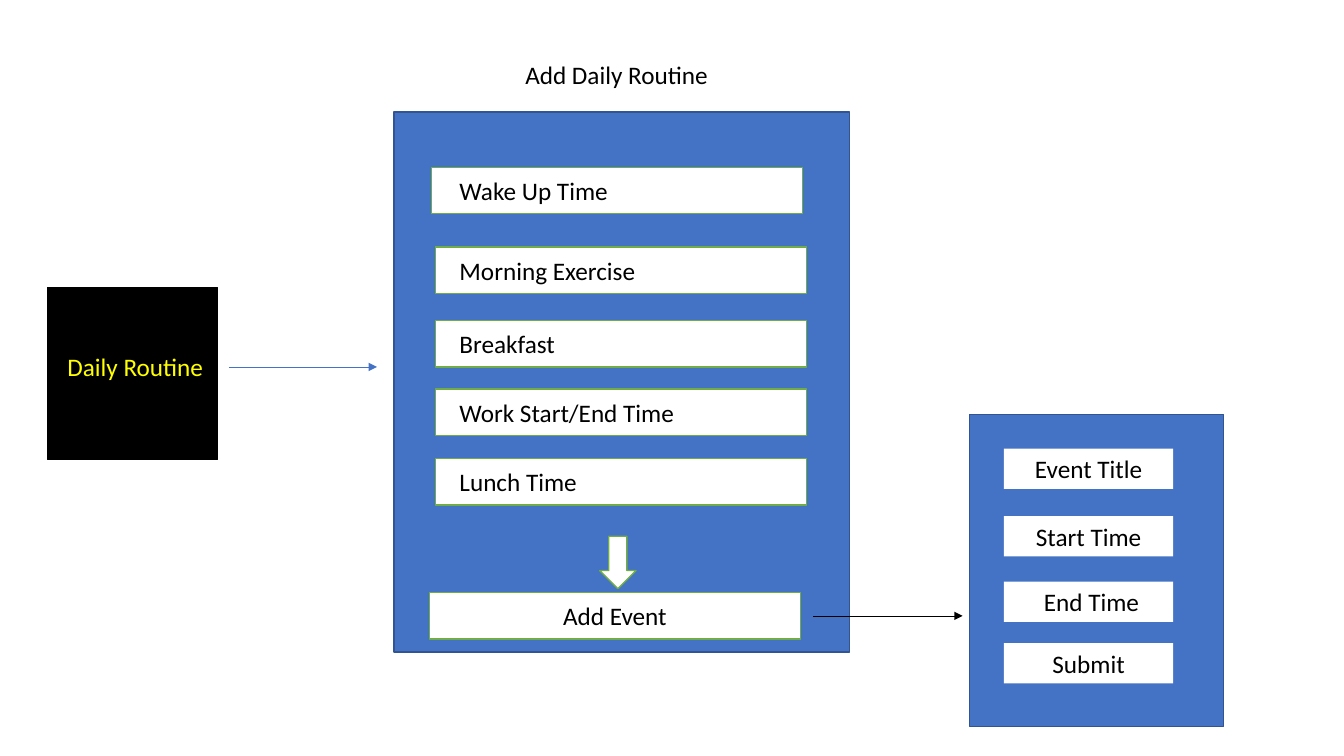
from pptx import Presentation
from pptx.dml.color import RGBColor
from pptx.enum.shapes import MSO_CONNECTOR as Connector, MSO_SHAPE as Shape
from pptx.enum.text import MSO_ANCHOR as Anchor, MSO_AUTO_SIZE as AutoSize, PP_ALIGN as Align
from pptx.oxml.ns import qn
from pptx.util import Inches, Pt
from lxml.etree import SubElement

BLUE = RGBColor(0x44, 0x72, 0xC4)
NAVY = RGBColor(0x32, 0x54, 0x91)
GREEN = RGBColor(0x70, 0xAD, 0x47)
YELLOW = RGBColor(0xFF, 0xFF, 0x00)
BLACK = RGBColor(0, 0, 0)
WHITE = RGBColor(0xFF, 0xFF, 0xFF)
COLUMNS, ROWS = 40, 22.5


def write(frame, text, font="Calibri", size=18, color=BLACK, align=Align.LEFT,
          anchor=Anchor.TOP, grow=True):
    frame.word_wrap = True
    frame.auto_size = AutoSize.SHAPE_TO_FIT_TEXT if grow else AutoSize.NONE
    frame.vertical_anchor = anchor
    paragraph = frame.paragraphs[0]
    paragraph.alignment = align
    run = paragraph.add_run()
    run.text = text
    run.font.name, run.font.size = font, Pt(size)
    run.font.color.rgb = color


class Board:
    def __init__(self, deck):
        self.column = deck.slide_width / COLUMNS
        self.row = deck.slide_height / ROWS
        self.shapes = deck.slides.add_slide(deck.slide_layouts[6]).shapes

    def place(self, x, y, width, height):
        return [round(length * unit) for length, unit in
                zip((x, y, width, height), (self.column, self.row) * 2)]

    def box(self, area, fill, line=None, kind=Shape.RECTANGLE, text=None, **style):
        shape = self.shapes.add_shape(kind, *self.place(*area))
        shape.shadow.inherit = False
        shape.fill.solid()
        shape.fill.fore_color.rgb = fill
        if line is None:
            shape.line.fill.background()
        else:
            shape.line.color.rgb = line
            shape.line.width = Pt(1)
        if text:
            write(shape.text_frame, text, **style)

    def label(self, area, text, **style):
        write(self.shapes.add_textbox(*self.place(*area)).text_frame, text, **style)

    def arrow(self, start, end, y, color):
        arrow = self.shapes.add_connector(Connector.STRAIGHT, *self.place(start, y, end, y))
        arrow.line.color.rgb = color
        arrow.line.width = Pt(0.5)
        SubElement(arrow.line._get_or_add_ln(), qn("a:tailEnd"), type="triangle")
        SubElement(arrow._element.spPr, qn("a:effectLst"))


deck = Presentation()
deck.slide_width, deck.slide_height = Inches(13.33), Inches(7.5)
board = Board(deck)

FIELD_WIDTH, FIELD_HEIGHT, LINE_HEIGHT = 11.04, 1.38, 1.2
board.box((11.73, 3.33, 13.56, 16.08), BLUE, NAVY)
routine_fields = [
    ("Wake Up Time", 12.84, 4.98, 5.94),
    ("Morning Exercise ", 12.96, 7.35, 5.94),
    ("Breakfast", 12.96, 9.54, 5.94),
    ("Work Start/End Time", 12.96, 11.58, 8.91),
    ("Lunch Time", 12.96, 13.65, 5.94),
]
for activity, left, top, label_width in routine_fields:
    board.box((left, top, FIELD_WIDTH, FIELD_HEIGHT), WHITE, GREEN)
    board.label((13.38, top + 0.09, label_width, LINE_HEIGHT), activity)
board.box((17.85, 15.96, 1.08, 1.56), WHITE, GREEN, kind=Shape.DOWN_ARROW)

board.box((1.41, 8.55, 5.07, 5.13), BLACK, BLACK)
board.label((1.71, 10.32, 5.43, LINE_HEIGHT), "Daily Routine", color=YELLOW)
board.arrow(6.81, 11.22, 10.92, BLUE)
board.label((12.96, 1.62, 10.95, LINE_HEIGHT), "Add Daily Routine ", align=Align.CENTER)

board.box((28.86, 12.33, 7.56, 9.3), BLUE, NAVY)
event_fields = [("Event Title", 13.35), ("Start Time", 15.36), (" End Time", 17.31), ("Submit", 19.14)]
for caption, top in event_fields:
    board.box((29.88, top, 5.04, LINE_HEIGHT), WHITE, text=caption, align=Align.CENTER)

board.box((12.78, 17.64, FIELD_WIDTH, FIELD_HEIGHT), WHITE, GREEN, text="Add Event",
          align=Align.CENTER, anchor=Anchor.MIDDLE, grow=False)
board.arrow(24.21, 28.65, 18.33, BLACK)

deck.save("out.pptx")
